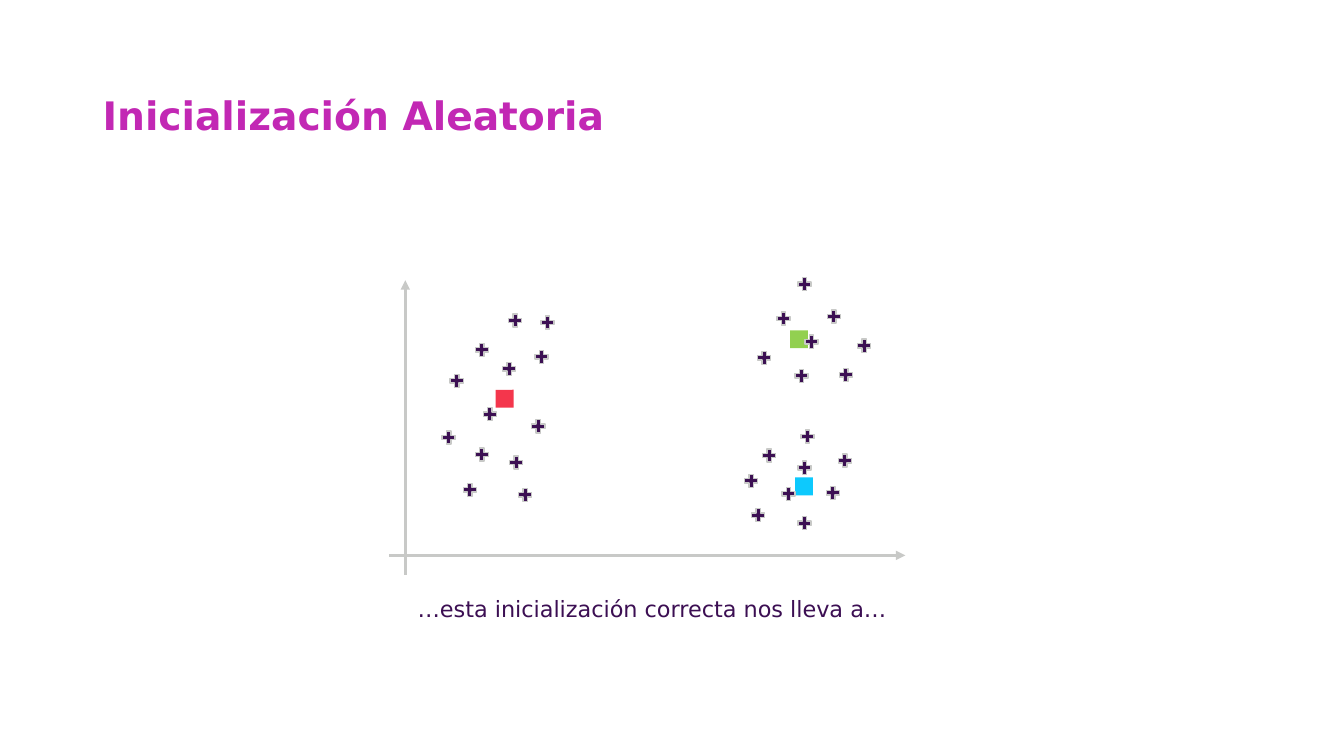
import pptx
import pptx.util
import pptx.dml.color
import pptx.enum.shapes
import pptx.enum.text
import pptx.oxml
import pptx.oxml.ns

Inches = pptx.util.Inches
Pt = pptx.util.Pt
RGBColor = pptx.dml.color.RGBColor
ALIGN = pptx.enum.text.PP_ALIGN
ANCHOR = pptx.enum.text.MSO_ANCHOR

FONT = "DejaVu Sans"
PINK = RGBColor(0xC2, 0x28, 0xB4)
PURPLE = RGBColor(0x3C, 0x10, 0x53)
INK = RGBColor(0x3C, 0x0F, 0x53)
GRAY = RGBColor(0xC8, 0xC9, 0xC7)
RED = RGBColor(0xF4, 0x36, 0x4C)
BLUE = RGBColor(0x0D, 0xC9, 0xFD)
GREEN = RGBColor(0x92, 0xD0, 0x50)

SEED = 0.25
ARM = 0.13 / 3

# Left, top and colour of each cluster centre
SEEDS = [(4.88, 3.83, RED), (7.85, 4.7, BLUE), (7.8, 3.24, GREEN)]

AXES = [((4.02, 5.7), (4.02, 2.78)), ((3.86, 5.51), (8.98, 5.51))]

# Centres of the data points, by cluster
LEFT = [
    (5.34, 4.23), (4.78, 4.51), (5.21, 4.91), (4.66, 4.86), (4.45, 4.34),
    (4.86, 4.11), (5.12, 4.59), (4.53, 3.78), (5.05, 3.66), (4.78, 3.47),
    (5.37, 3.54), (5.43, 3.2), (5.11, 3.18),
]
UPPER = [
    (7.98, 2.82), (8.27, 3.14), (7.77, 3.16), (8.05, 3.39),
    (8.57, 3.43), (7.95, 3.73), (8.39, 3.72), (7.58, 3.55),
]
LOWER = [
    (7.45, 4.77), (7.63, 4.52), (7.82, 4.9), (7.52, 5.11), (7.98, 5.19),
    (8.26, 4.89), (7.98, 4.64), (8.38, 4.57), (8.01, 4.33),
]

# Corners of a plus sign, in arm widths from its centre
PLUS = [
    (-1.5, 0.5), (-1.5, -0.5), (-0.5, -0.5), (-0.5, -1.5),
    (0.5, -1.5), (0.5, -0.5), (1.5, -0.5), (1.5, 0.5),
    (0.5, 0.5), (0.5, 1.5), (-0.5, 1.5), (-0.5, 0.5),
]


def add_text(slide, text, left, top, width, height, *, size, color,
             bold=False, align=ALIGN.LEFT, anchor=ANCHOR.TOP,
             side=0.1, space=1.0):
    box = slide.shapes.add_textbox(
        Inches(left), Inches(top), Inches(width), Inches(height))
    frame = box.text_frame
    frame.word_wrap = True
    frame.vertical_anchor = anchor
    frame.margin_left = frame.margin_right = Inches(side)
    frame.margin_top = frame.margin_bottom = Inches(0.05)
    para = frame.paragraphs[0]
    para.alignment = align
    para.line_spacing = space
    run = para.add_run()
    run.text = text
    run.font.name = FONT
    run.font.size = Pt(size)
    run.font.bold = bold
    run.font.color.rgb = color


def add_seed(slide, left, top, color):
    shape = slide.shapes.add_shape(
        pptx.enum.shapes.MSO_SHAPE.DIAMOND,
        Inches(left), Inches(top), Inches(SEED), Inches(SEED))
    shape.rotation = 315
    shape.shadow.inherit = False
    shape.fill.solid()
    shape.fill.fore_color.rgb = color
    shape.line.fill.background()


def add_axis(slide, start, end):
    axis = slide.shapes.add_connector(
        pptx.enum.shapes.MSO_CONNECTOR.STRAIGHT,
        *map(Inches, start), *map(Inches, end))
    axis.line.color.rgb = GRAY
    axis.line.width = Pt(2.25)
    head = pptx.oxml.parse_xml(
        f'<a:tailEnd {pptx.oxml.ns.nsdecls("a")} type="triangle"/>')
    axis.line._get_or_add_ln().append(head)
    axis._element.spPr.append(pptx.oxml.parse_xml(
        f'<a:effectLst {pptx.oxml.ns.nsdecls("a")}/>'))


def add_plus(slide, x, y):
    points = [(Inches(x + dx * ARM), Inches(y + dy * ARM)) for dx, dy in PLUS]
    build = slide.shapes.build_freeform(*points[0])
    build.add_line_segments(points[1:], close=True)
    shape = build.convert_to_shape()
    shape.shadow.inherit = False
    shape.fill.solid()
    shape.fill.fore_color.rgb = PURPLE
    shape.line.color.rgb = GRAY
    shape.line.width = Pt(1)


def main():
    deck = pptx.Presentation()
    deck.slide_width = Inches(13.33)
    deck.slide_height = Inches(7.5)
    slide = deck.slides.add_slide(deck.slide_layouts[6])

    add_text(slide, "Inicialización Aleatoria", 0.92, 0.71, 11.5, 0.91,
             size=28, color=PINK, bold=True, anchor=ANCHOR.MIDDLE, space=0.9)
    for left, top, color in SEEDS:
        add_seed(slide, left, top, color)
    for start, end in AXES:
        add_axis(slide, start, end)
    for x, y in LEFT + UPPER + LOWER:
        add_plus(slide, x, y)
    add_text(slide, "…esta inicialización correcta nos lleva a…",
             3.65, 5.86, 5.64, 0.37,
             size=16, color=INK, align=ALIGN.CENTER, side=0.05)

    deck.save("out.pptx")


if __name__ == "__main__":
    main()
